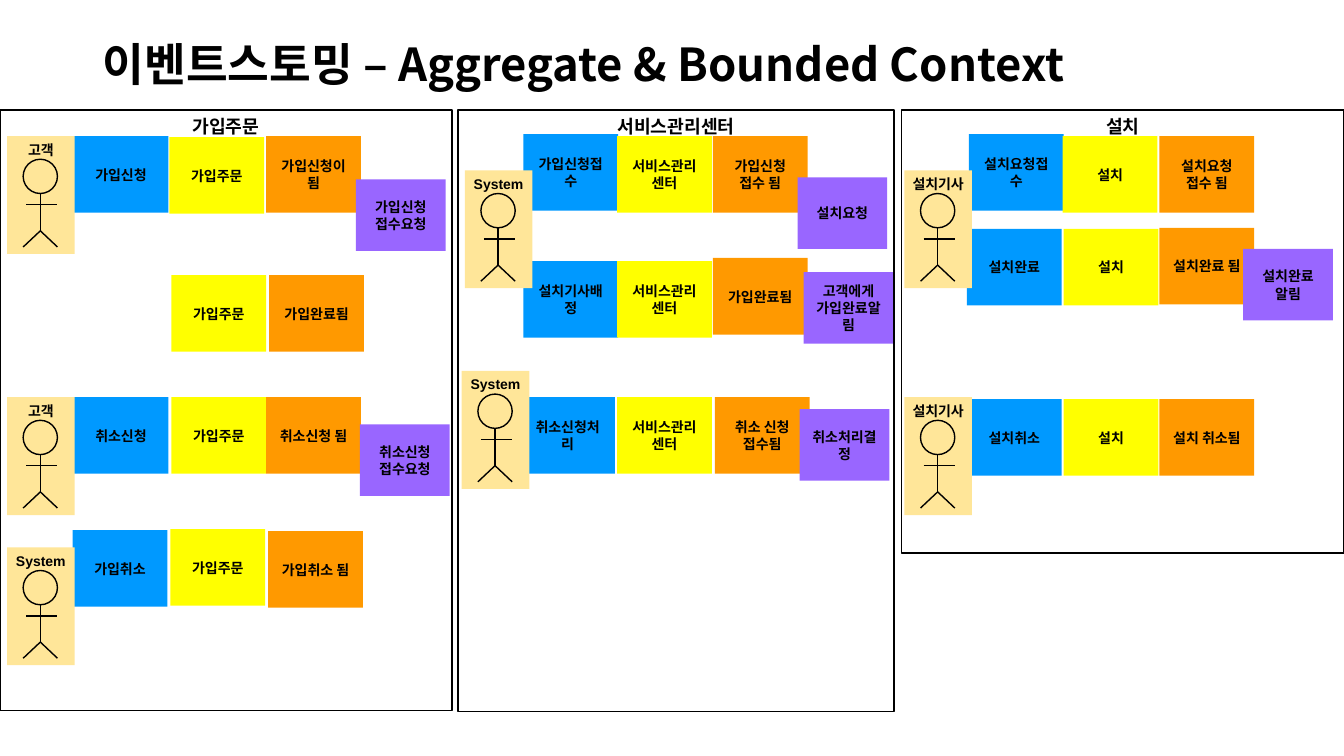
from dataclasses import dataclass

from pptx import Presentation
from pptx.dml.color import RGBColor
from pptx.enum.shapes import MSO_CONNECTOR, MSO_SHAPE
from pptx.enum.text import MSO_ANCHOR, PP_ALIGN
from pptx.oxml.ns import qn
from pptx.util import Inches, Pt

SANS = "Noto Sans CJK KR"
BLACK = "000000"

# Fill, width and height of each kind of note
KINDS = {
    "command": ("0099FF", 0.94, 0.76),
    "model": ("FFFF00", 0.94, 0.76),
    "event": ("FF9900", 0.94, 0.76),
    "policy": ("9966FF", 0.89, 0.71),
}


@dataclass
class Note:
    kind: str
    left: float
    top: float
    text: str


@dataclass
class Actor:
    left: float
    top: float
    name: str


@dataclass
class Context:
    left: float
    width: float
    height: float
    name: str


NOTES = [
    # Subscription order
    Note("command", 0.73, 1.35, "가입신청"),
    Note("model", 1.68, 1.36, "가입주문"),
    Note("event", 2.64, 1.35, "가입신청이 됨"),
    Note("policy", 3.53, 1.78, "가입신청 접수요청"),
    Note("model", 1.7, 2.73, "가입주문"),
    Note("event", 2.67, 2.73, "가입완료됨"),
    Note("command", 0.73, 3.94, "취소신청"),
    Note("model", 1.7, 3.94, "가입주문"),
    Note("event", 2.64, 3.94, "취소신청 됨"),
    Note("policy", 3.57, 4.21, "취소신청 접수요청"),
    Note("command", 0.72, 5.26, "가입취소"),
    Note("model", 1.69, 5.25, "가입주문"),
    Note("event", 2.66, 5.27, "가입취소 됨"),
    # Service centre
    Note("command", 5.19, 1.33, "가입신청접수"),
    Note("model", 6.12, 1.35, "서비스관리센터"),
    Note("event", 7.07, 1.35, "가입신청 접수 됨"),
    Note("policy", 7.91, 1.76, "설치요청"),
    Note("command", 5.19, 2.59, "설치기사배정"),
    Note("model", 6.12, 2.59, "서비스관리센터"),
    Note("event", 7.07, 2.56, "가입완료됨"),
    Note("policy", 7.97, 2.7, "고객에게 가입완료알림"),
    Note("command", 5.16, 3.94, "취소신청처리"),
    Note("model", 6.12, 3.94, "서비스관리센터"),
    Note("event", 7.09, 3.94, "취소 신청 접수됨"),
    Note("policy", 7.93, 4.06, "취소처리결정"),
    # Installation
    Note("command", 9.61, 1.33, "설치요청접수"),
    Note("model", 10.54, 1.35, "설치"),
    Note("event", 11.5, 1.35, "설치요청 접수 됨"),
    Note("command", 9.59, 2.27, "설치완료"),
    Note("model", 10.55, 2.27, "설치"),
    Note("event", 11.5, 2.26, "설치완료 됨"),
    Note("policy", 12.33, 2.47, "설치완료 알림"),
    Note("command", 9.59, 3.96, "설치취소"),
    Note("model", 10.55, 3.96, "설치"),
    Note("event", 11.5, 3.96, "설치 취소됨"),
]

ACTORS = [
    Actor(0.07, 1.35, "고객"),
    Actor(0.07, 3.94, "고객"),
    Actor(0.07, 5.43, "System"),
    Actor(4.61, 1.69, "System"),
    Actor(4.58, 3.68, "System"),
    Actor(8.97, 1.69, "설치기사"),
    Actor(8.97, 3.94, "설치기사"),
]

CONTEXTS = [
    Context(0, 4.48, 5.96, "가입주문"),
    Context(4.54, 4.33, 5.97, "서비스관리센터"),
    Context(8.94, 4.39, 4.4, "설치"),
]

# Body, arms and legs, measured from the actor's corner
LIMBS = [
    (0.33, 0.57, 0.33, 0.94),
    (0.19, 0.68, 0.5, 0.68),
    (0.33, 0.94, 0.16, 1.1),
    (0.33, 0.94, 0.5, 1.1),
]


def color(code: str) -> RGBColor:
    return RGBColor.from_string(code)


def write(shape, text: str, size: float, font: str = SANS, wrap: bool = True,
          anchor=MSO_ANCHOR.MIDDLE, align=PP_ALIGN.CENTER, space=None) -> None:
    frame = shape.text_frame
    frame.text = text
    frame.word_wrap = wrap
    frame.vertical_anchor = anchor
    para = frame.paragraphs[0]
    para.alignment = align
    para.line_spacing = space
    run = para.runs[0]
    run.font.size = Pt(size)
    run.font.bold = True
    run.font.name = font
    run.font.color.rgb = color(BLACK)
    east = run.font._element.makeelement(qn("a:ea"), {"typeface": font})
    run.font._element.find(qn("a:latin")).addnext(east)


def draw(shapes, form, left: float, top: float, width: float, height: float,
         fill: str = "", line: float = 0):
    shape = shapes.add_shape(form, Inches(left), Inches(top), Inches(width), Inches(height))
    shape.shadow.inherit = False
    if fill:
        shape.fill.solid()
        shape.fill.fore_color.rgb = color(fill)
    else:
        shape.fill.background()
    if line:
        shape.line.color.rgb = color(BLACK)
        shape.line.width = Pt(line)
    else:
        shape.line.fill.background()
    return shape


def add_note(shapes, note: Note) -> None:
    fill, width, height = KINDS[note.kind]
    box = draw(shapes, MSO_SHAPE.RECTANGLE, note.left, note.top, width, height, fill)
    write(box, note.text, 10, space=Pt(12.2))


def add_actor(shapes, actor: Actor) -> None:
    parts = shapes.add_group_shape().shapes
    left, top = actor.left, actor.top
    card = draw(parts, MSO_SHAPE.RECTANGLE, left, top, 0.67, 1.17, "FFE699")
    write(card, actor.name, 10, "Arial", False, MSO_ANCHOR.TOP)
    draw(parts, MSO_SHAPE.OVAL, left + 0.16, top + 0.23, 0.34, 0.34, line=1)
    for x1, y1, x2, y2 in LIMBS:
        limb = parts.add_connector(
            MSO_CONNECTOR.STRAIGHT, Inches(left + x1), Inches(top + y1),
            Inches(left + x2), Inches(top + y2))
        limb.line.color.rgb = color(BLACK)
        limb.line.width = Pt(1)
        props = limb._element.spPr
        props.append(props.makeelement(qn("a:effectLst"), {}))


def add_context(shapes, context: Context) -> None:
    box = draw(shapes, MSO_SHAPE.RECTANGLE, context.left, 1.09,
               context.width, context.height, line=1.25)
    write(box, context.name, 13, wrap=False, anchor=MSO_ANCHOR.TOP, space=Pt(15.9))


def main() -> None:
    deck = Presentation()
    deck.slide_width, deck.slide_height = Inches(13.33), Inches(7.5)
    shapes = deck.slides.add_slide(deck.slide_layouts[6]).shapes

    # Title
    title = shapes.add_textbox(Inches(0.92), Inches(0.4), Inches(11.5), Inches(0.53))
    write(title, "이벤트스토밍 – Aggregate & Bounded Context", 32.4,
          align=PP_ALIGN.LEFT, space=0.9)

    # Board, from back to front
    for note in NOTES:
        add_note(shapes, note)
    for context in CONTEXTS:
        add_context(shapes, context)
    for actor in ACTORS:
        add_actor(shapes, actor)

    deck.save("out.pptx")


if __name__ == "__main__":
    main()
